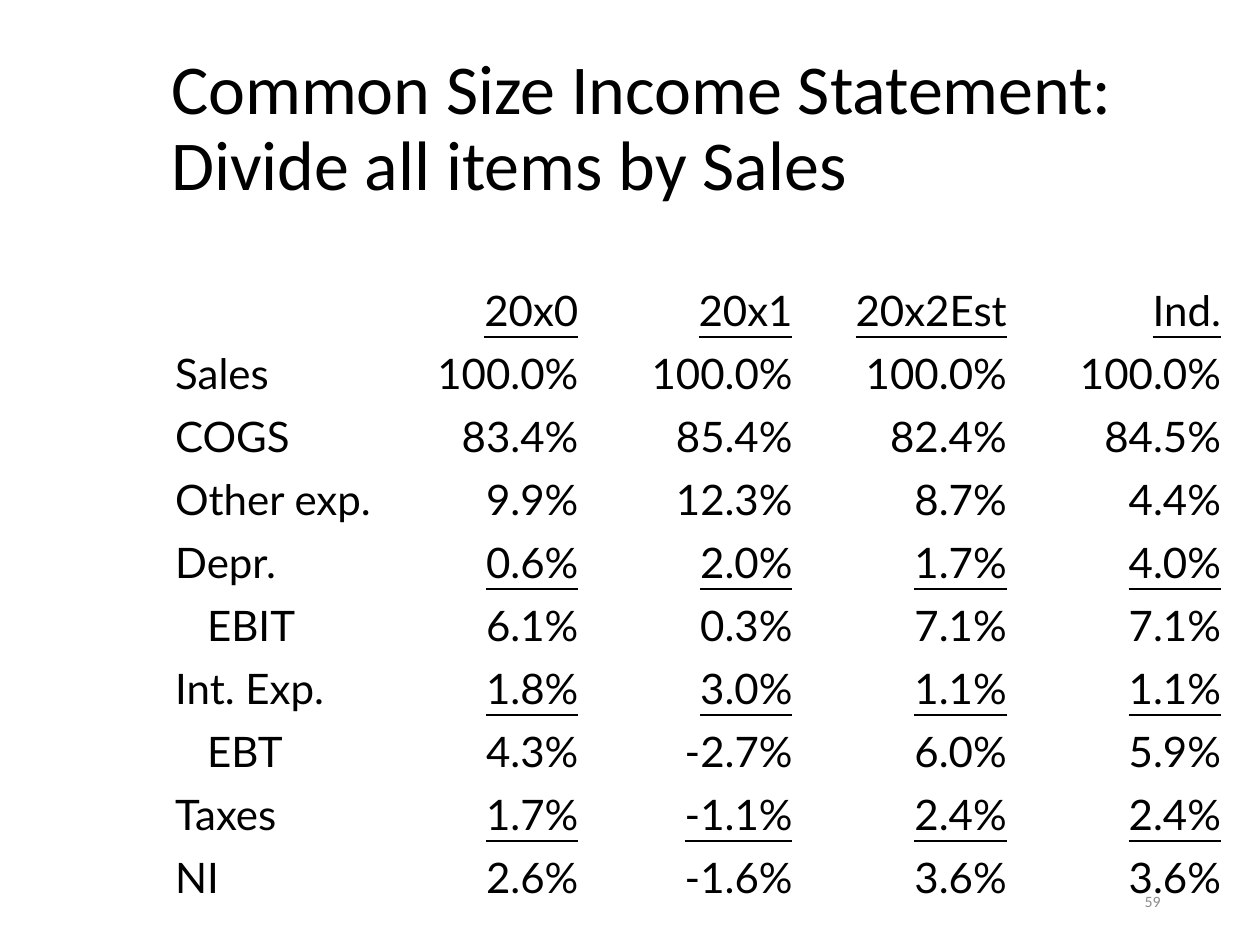
import pptx
import pptx.dml.color
import pptx.enum.text
import pptx.util

Pt = pptx.util.Pt
ALIGN = pptx.enum.text.PP_ALIGN
MIDDLE = pptx.enum.text.MSO_ANCHOR.MIDDLE

# Content
TITLE_LINES = ["Common Size Income Statement:", "Divide all items by Sales"]
PAGE_NUMBER = "59"
STATEMENT = [
    ("", "20x0", "20x1", "20x2Est", "Ind."),
    ("Sales", "100.0%", "100.0%", "100.0%", "100.0%"),
    ("COGS", "83.4%", "85.4%", "82.4%", "84.5%"),
    ("Other exp.", "9.9%", "12.3%", "8.7%", "4.4%"),
    ("Depr.", "0.6%", "2.0%", "1.7%", "4.0%"),
    ("EBIT", "6.1%", "0.3%", "7.1%", "7.1%"),
    ("Int. Exp.", "1.8%", "3.0%", "1.1%", "1.1%"),
    ("EBT", "4.3%", "-2.7%", "6.0%", "5.9%"),
    ("Taxes", "1.7%", "-1.1%", "2.4%", "2.4%"),
    ("NI", "2.6%", "-1.6%", "3.6%", "3.6%"),
]
UNDERLINED = {"", "Depr.", "Int. Exp.", "Taxes"}  # rows above a subtotal, and the header
SUBTOTALS = {"EBIT", "EBT"}

# Layout
COLUMN_WIDTHS = [134.6, 110.2, 122.4, 122.4, 122.4]
ROW_HEIGHT = 36
CELL_MARGIN = 7.2
SUBTOTAL_INDENT = 18.3


def add_span(para, text, size, font, color="000000", underline=False):
    span = para.add_run()
    span.text = text
    span.font.size = Pt(size)
    span.font.name = font
    span.font.color.rgb = pptx.dml.color.RGBColor.from_string(color)
    span.font.underline = underline


def add_box(page, left, top, width, height):
    box = page.shapes.add_textbox(Pt(left), Pt(top), Pt(width), Pt(height))
    box.text_frame.word_wrap = True
    box.text_frame.vertical_anchor = MIDDLE
    return box.text_frame.paragraphs[0]


def add_statement(page):
    table = page.shapes.add_table(
        len(STATEMENT), len(COLUMN_WIDTHS), Pt(92.9), Pt(159.1),
        Pt(sum(COLUMN_WIDTHS)), Pt(ROW_HEIGHT * len(STATEMENT))).table
    table.first_row = False
    table.horz_banding = False
    for column, width in zip(table.columns, COLUMN_WIDTHS):
        column.width = Pt(width)
    for row, values in zip(table.rows, STATEMENT):
        row.height = Pt(ROW_HEIGHT)
        label = values[0]
        for index, (cell, text) in enumerate(zip(row.cells, values)):
            cell.fill.background()
            para = cell.text_frame.paragraphs[0]
            is_number = index > 0
            para.alignment = ALIGN.RIGHT if is_number else ALIGN.LEFT
            if not is_number and label in SUBTOTALS:
                cell.margin_left = Pt(CELL_MARGIN + SUBTOTAL_INDENT)
            if text:
                add_span(para, text, 24, "Lato",
                         underline=is_number and label in UNDERLINED)


def main():
    deck = pptx.Presentation()
    deck.slide_width, deck.slide_height = Pt(720), Pt(540)
    page = deck.slides.add_slide(deck.slide_layouts[6])

    # Page number
    para = add_box(page, 508.3, 500.4, 162, 28.8)
    para.alignment = ALIGN.RIGHT
    add_span(para, PAGE_NUMBER, 9, "Calibri", "8C8C8C")

    # Title
    para = add_box(page, 90.7, 16.6, 613.4, 115.2)
    para.line_spacing = 0.9
    for number, line in enumerate(TITLE_LINES):
        if number:
            para.add_line_break()
        add_span(para, line, 40, "Calibri")

    # Income statement
    add_statement(page)
    deck.save("out.pptx")


if __name__ == "__main__":
    main()
